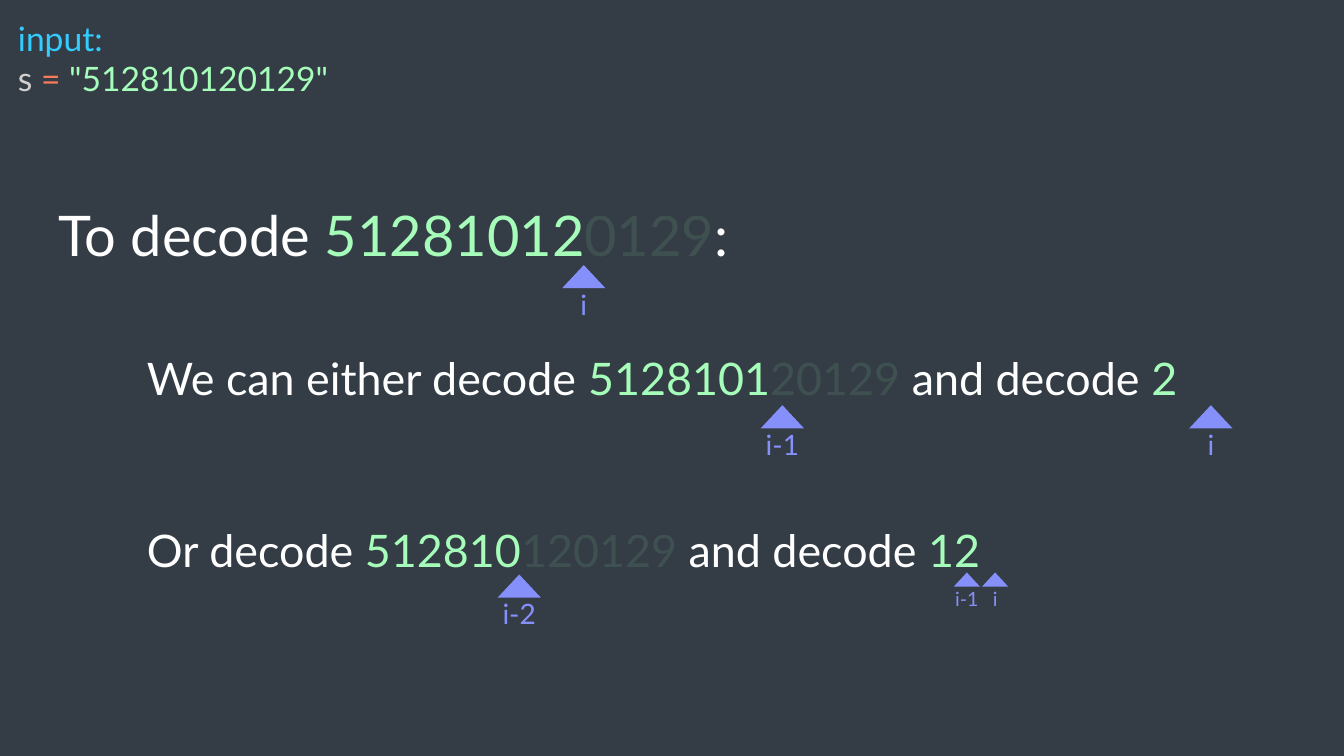
from lxml import etree
from pptx import Presentation
from pptx.dml.color import RGBColor
from pptx.enum import shapes, text
from pptx.oxml import ns
from pptx.util import Inches, Pt

BACKGROUND = RGBColor(0x34, 0x3D, 0x46)
WHITE = RGBColor(0xFF, 0xFF, 0xFF)
CYAN = RGBColor(0x33, 0xCC, 0xFF)
GREY = RGBColor(0xD0, 0xCE, 0xCE)
ORANGE = RGBColor(0xF9, 0x7B, 0x57)
GREEN = RGBColor(0xA5, 0xFD, 0xB9)
VIOLET = RGBColor(0x86, 0x90, 0xFA)
FONT = "Lato"
DIGITS = "512810120129"


def add_run(p, words, size, color, alpha=None):
    r = p.add_run()
    r.text = words
    r.font.name = FONT
    r.font.size = Pt(size)
    r.font.color.rgb = color
    if alpha is not None:
        clr = r.font.fill._xPr.find(".//" + ns.qn("a:srgbClr"))
        etree.SubElement(clr, ns.qn("a:alpha"), val=str(alpha * 1000))


def add_box(s, left, top, width, height):
    sp = s.shapes.add_textbox(Inches(left), Inches(top), Inches(width), Inches(height))
    sp.text_frame.word_wrap = True
    return sp


def add_input(s, left, top, width, height):
    tf = add_box(s, left, top, width, height).text_frame
    add_run(tf.paragraphs[0], "input:", 24, CYAN)
    p = tf.add_paragraph()
    for words, color in (("s ", GREY), ("= ", ORANGE), (f'"{DIGITS}"', GREEN)):
        add_run(p, words, 24, color)


def write_step(p, size, lead, count, joiner, tail=""):
    add_run(p, lead, size, WHITE)
    add_run(p, DIGITS[:count], size, GREEN)
    add_run(p, DIGITS[count:], size, GREEN, alpha=10)
    add_run(p, joiner, size, WHITE)
    if tail:
        add_run(p, tail, size, GREEN)


def add_title(s, left, top, width, height):
    sp = s.shapes.title
    sp.left, sp.top = Inches(left), Inches(top)
    sp.width, sp.height = Inches(width), Inches(height)
    tf = sp.text_frame
    tf.word_wrap = True
    tf.auto_size = text.MSO_AUTO_SIZE.NONE
    tf.vertical_anchor = text.MSO_ANCHOR.TOP
    p = tf.paragraphs[0]
    p.alignment = text.PP_ALIGN.LEFT
    write_step(p, 40, "To decode ", 8, ":")


def add_option(s, left, top, width, height, *parts):
    tf = add_box(s, left, top, width, height).text_frame
    write_step(tf.paragraphs[0], 32, *parts)


def add_pointer(s, center, top, label, small=False):
    width, height = (0.26, 0.14) if small else (0.43, 0.23)
    drop, label_w, label_h, size = (0.14, 0.29, 0.24, 14) if small else (0.17, 0.84, 0.44, 20)
    sp = s.shapes.add_shape(shapes.MSO_SHAPE.ISOSCELES_TRIANGLE,
                            Inches(center - width / 2), Inches(top),
                            Inches(width), Inches(height))
    sp.shadow.inherit = False
    sp.fill.solid()
    sp.fill.fore_color.rgb = VIOLET
    sp.line.fill.background()

    tf = add_box(s, center - label_w / 2, top + drop, label_w, label_h).text_frame
    if small:
        tf.margin_left = tf.margin_right = tf.margin_top = tf.margin_bottom = 0
    p = tf.paragraphs[0]
    p.alignment = text.PP_ALIGN.CENTER
    add_run(p, label, size, VIOLET)


def main():
    prs = Presentation()
    prs.slide_width, prs.slide_height = Inches(13.33), Inches(7.5)
    s = prs.slides.add_slide(prs.slide_layouts[5])
    s.background.fill.solid()
    s.background.fill.fore_color.rgb = BACKGROUND

    add_input(s, 0.08, 0.13, 5.96, 0.91)
    add_title(s, 0.48, 1.94, 8.82, 0.77)
    add_option(s, 1.36, 3.43, 11.9, 0.64, "We can either decode ", 7, " and decode ", "2")
    add_option(s, 1.36, 5.14, 11.9, 0.64, "Or decode ", 6, " and decode ", "12")

    for center, top, label in ((5.79, 2.63, "i"), (7.76, 4.02, "i-1"),
                               (12.01, 4.02, "i"), (5.15, 5.7, "i-2")):
        add_pointer(s, center, top, label)
    for center, label in ((9.59, "i-1"), (9.87, "i")):
        add_pointer(s, center, 5.68, label, small=True)

    prs.save("out.pptx")


if __name__ == "__main__":
    main()
